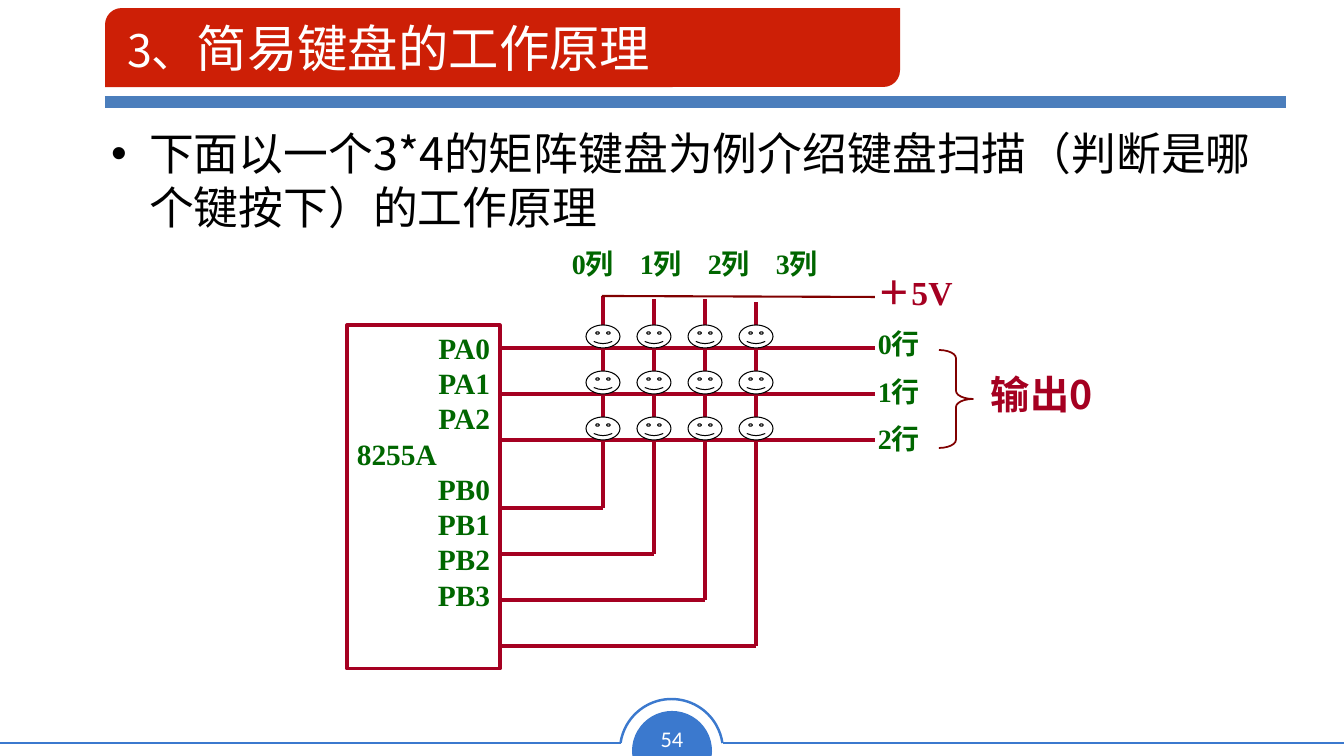
from pptx import Presentation, util as u
from pptx.dml.color import RGBColor
from pptx.enum import shapes, text
from pptx.oxml.xmlchemy import OxmlElement

PX = u.Inches(1) / 100.8
WHITE = RGBColor(255, 255, 255)
BLACK = RGBColor(0, 0, 0)
BLUE = RGBColor(0x3B, 0x79, 0xCE)
RULE = RGBColor(0x4B, 0x7E, 0xBC)
RED = RGBColor(0xCD, 0x1F, 0x06)
WINE = RGBColor(0xA5, 0x00, 0x21)
MAROON = RGBColor(0x80, 0, 0)
GREEN = RGBColor(0, 0x66, 0)
SANS = "Noto Sans CJK SC"
SERIF = "Times New Roman"
FORM = shapes.MSO_SHAPE
RIGHT = text.PP_ALIGN.RIGHT


def px(*nums):
    return [u.Emu(round(n * PX)) for n in nums]


def place(shape, box):
    for name, val in zip(("left", "top", "width", "height"), px(*box)):
        setattr(shape, name, val)


def write(para, words, color, **fmt):
    """Add a run; fmt holds font attributes, with size in points."""
    run = para.add_run()
    run.text = words
    fmt["size"] = u.Pt(fmt["size"])
    for key, val in fmt.items():
        setattr(run.font, key, val)
    run.font.color.rgb = color
    east = OxmlElement("a:ea")
    east.set("typeface", SANS)
    run.font._element.find("{*}latin").addnext(east)


def line(slide, x1, y1, x2, y2, color=WINE, width=2.25):
    link = slide.shapes.add_connector(
        shapes.MSO_CONNECTOR.STRAIGHT, *px(x1, y1, x2, y2))
    link.line.color.rgb = color
    link.line.width = u.Pt(width)
    link.element.spPr.append(OxmlElement("a:effectLst"))


def form(slide, kind, box, fill=None, edge=None, width=1, adjust=()):
    shape = slide.shapes.add_shape(kind, *px(*box))
    shape.shadow.inherit = False
    if fill is None:
        shape.fill.background()
    else:
        shape.fill.solid()
        shape.fill.fore_color.rgb = fill
    if edge is None:
        shape.line.fill.background()
    else:
        shape.line.color.rgb = edge
        shape.line.width = u.Pt(width)
    for i, val in enumerate(adjust):
        shape.adjustments[i] = val
    return shape


def label(slide, box, rows, pitch):
    """Add a text box; each row is (words, color, format), pitch in points."""
    frame = slide.shapes.add_textbox(*px(*box)).text_frame
    frame.word_wrap = True
    for i, (words, color, fmt) in enumerate(rows):
        para = frame.add_paragraph() if i else frame.paragraphs[0]
        para.line_spacing = u.Pt(pitch)
        write(para, words, color, **fmt)
    return frame


def theme(slide):
    chord = form(slide, FORM.CHORD, (632, 711, 80, 80), BLUE,
                 adjust=(35.77, 153.29))
    chord.rotation = 112.4
    line(slide, 723, 743, 1344, 743, BLUE, 1.77)
    line(slide, 0, 743, 621, 743, BLUE, 1.77)
    form(slide, FORM.ARC, (620, 699, 103, 103), edge=BLUE, width=1.77,
         adjust=(113.17, 210.98))
    page = label(slide, (642, 720, 60, 37),
                 [("54", WHITE, dict(size=16, name="Calibri"))], 19)
    page.paragraphs[0].alignment = text.PP_ALIGN.CENTER
    line(slide, 105, 102, 1286, 102, RULE, 8)
    form(slide, FORM.ROUND_2_DIAG_RECTANGLE, (105, 8, 795, 79), RED,
         adjust=(0.21, 0))


def head(slide):
    title = slide.shapes.title
    title.element.getparent().append(title.element)
    place(title, (117, 10, 1146, 75))
    frame = title.text_frame
    frame.auto_size = text.MSO_AUTO_SIZE.NONE
    frame.vertical_anchor = text.MSO_ANCHOR.MIDDLE
    para = frame.paragraphs[0]
    para.alignment = text.PP_ALIGN.LEFT
    write(para, "3、", WHITE, size=32, name=SANS)
    write(para, "简易键盘的工作原理", WHITE, size=36, name=SANS)


def intro(slide):
    body = slide.placeholders[1]
    body.element.getparent().append(body.element)
    place(body, (101, 121, 1182, 505))
    body.text_frame.auto_size = text.MSO_AUTO_SIZE.NONE
    para = body.text_frame.paragraphs[0]
    para.space_before = u.Pt(0)
    para.line_spacing = u.Pt(38.4)
    props = para._p.get_or_add_pPr()
    inset = px(38)[0]
    props.set("marL", str(inset))
    props.set("indent", str(-inset))
    mark = OxmlElement("a:buChar")
    mark.set("char", "•")
    props.append(mark)
    write(para, "下面以一个3*4的矩阵键盘为例介绍键盘扫描（判断是哪个键按下）的工作原理",
          BLACK, size=32, name=SANS)


def chip(slide):
    box = form(slide, FORM.RECTANGLE, (347, 325, 153, 344), WHITE, WINE, 2.25)
    frame = box.text_frame
    frame.vertical_anchor = text.MSO_ANCHOR.TOP
    pins = ["PA0", "PA1", "PA2", "8255A", "PB0", "PB1", "PB2", "PB3"]
    for i, pin in enumerate(pins):
        para = frame.add_paragraph() if i else frame.paragraphs[0]
        para.alignment = RIGHT if pin[0] == "P" else text.PP_ALIGN.LEFT
        para.line_spacing = u.Pt(25.2)
        write(para, pin, GREEN, size=21, name=SERIF, bold=True)


def keys(slide):
    cols = [603 + 51 * i for i in range(4)]
    rows = [348 + 46 * i for i in range(3)]
    for y in rows:
        line(slide, 500, y, 875, y)
    for i, (x, top) in enumerate(zip(cols, (296, 299, 299, 302))):
        low = 508 + 46 * i
        line(slide, 500, low, x, low)
        line(slide, x, low, x, top)
    for y in rows:
        for x in cols:
            form(slide, FORM.SMILEY_FACE, (x - 17, y - 23, 34, 23),
                 WHITE, BLACK, 0.75, (0.05,))
    line(slide, 602, 296, 875, 297, MAROON, 1.5)


def notes(slide):
    small = dict(size=20, name=SERIF, bold=True)
    volt = ("＋5V", WINE, dict(small, size=24))
    label(slide, (868, 260, 155, 204),
          [volt] + [(f"{i}行", GREEN, small) for i in range(3)], 34)
    names = "\t".join(f"{i}列" for i in range(4))
    frame = label(slide, (562, 242, 284, 44), [(names, GREEN, small)], 24)
    tabs = OxmlElement("a:tabLst")
    for i in range(1, 4):
        stop = OxmlElement("a:tab")
        stop.set("pos", str(px(68 * i)[0]))
        stop.set("algn", "l")
        tabs.append(stop)
    frame.paragraphs[0]._p.get_or_add_pPr().append(tabs)
    form(slide, FORM.RIGHT_BRACE, (939, 350, 34, 98), edge=MAROON,
         width=1.25, adjust=(0.24, 0.5))
    label(slide, (981, 365, 154, 57),
          [("输出0", WINE, dict(size=28, name=SANS, bold=True))], 34)


def main():
    deck = Presentation()
    deck.slide_width, deck.slide_height = px(1344, 756)
    slide = deck.slides.add_slide(deck.slide_layouts[1])
    slide.background.fill.solid()
    slide.background.fill.fore_color.rgb = WHITE
    for part in (theme, head, intro, chip, keys, notes):
        part(slide)
    deck.save("out.pptx")


if __name__ == "__main__":
    main()
